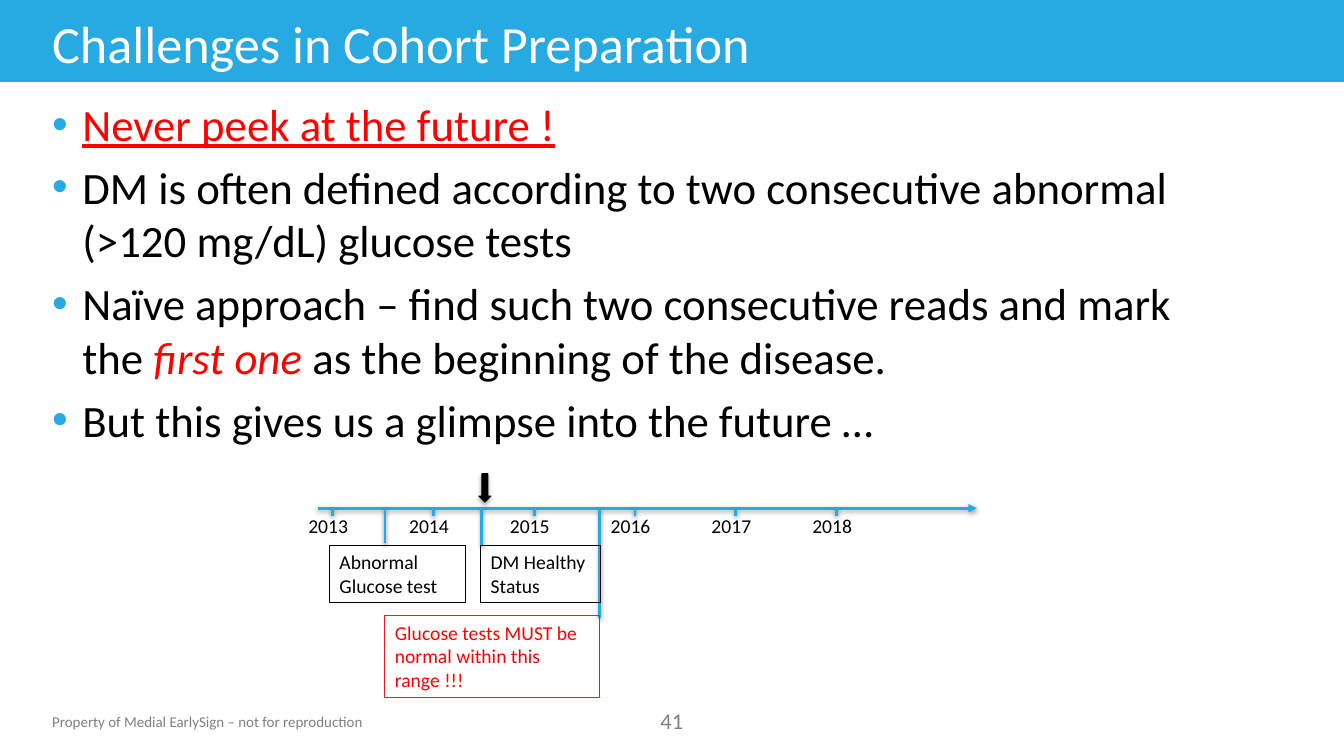
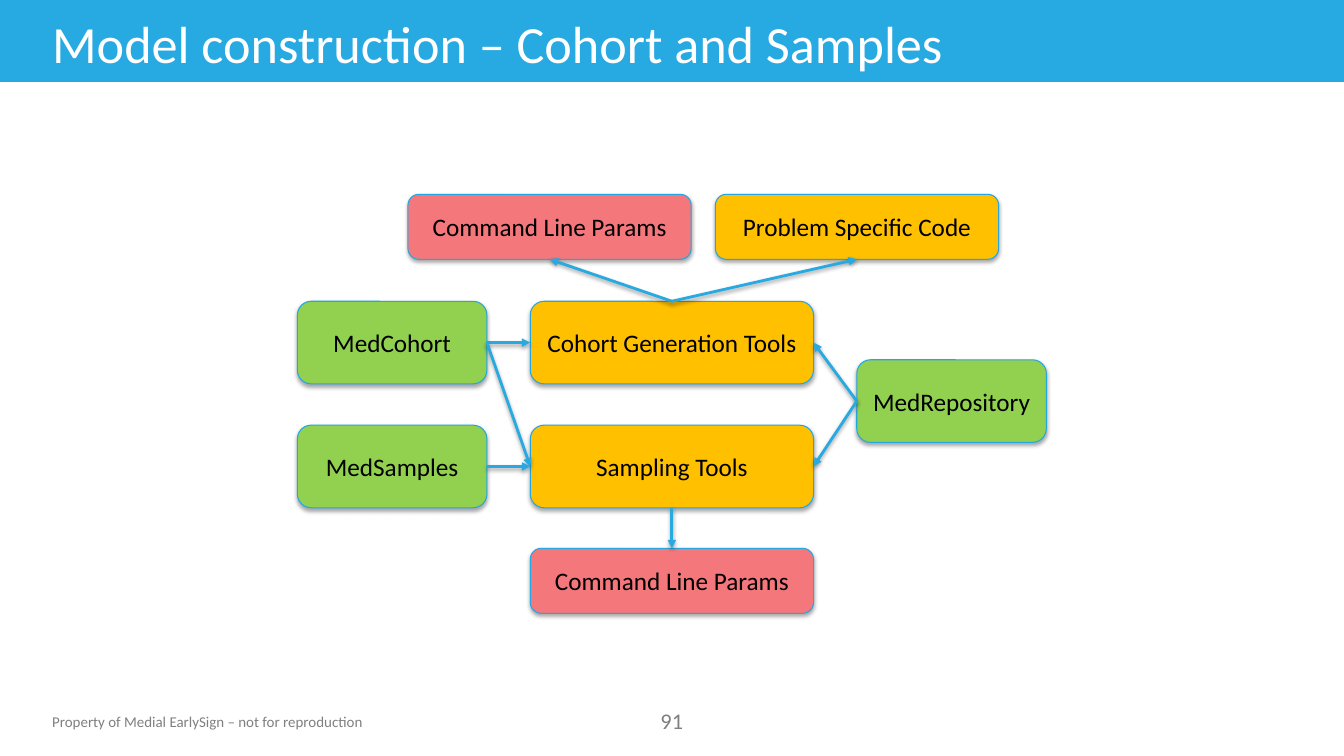
"""Build two slides on cohort preparation and model construction."""
from dataclasses import dataclass

from lxml.etree import SubElement
from pptx import Presentation
from pptx.dml.color import RGBColor as Rgb
from pptx.enum.shapes import MSO_CONNECTOR as Connector, MSO_SHAPE as Shape
from pptx.enum.text import MSO_ANCHOR as Anchor, PP_ALIGN as Align
from pptx.oxml.ns import qn
from pptx.util import Pt

TOP, LEFT, BOTTOM, RIGHT = range(4)


@dataclass(frozen=True)
class Theme:
    font: str = "Calibri"
    blue: str = "27A9E1"
    edge: str = "22A7E1"
    white: str = "FFFFFF"
    black: str = "000000"
    gray: str = "808080"
    red: str = "FF0000"
    crimson: str = "ED1C24"
    green: str = "92D050"
    amber: str = "FFC000"
    coral: str = "F4777C"
    title: float = 37.3
    body: float = 32
    node: float = 18
    page: float = 16
    label: float = 14
    footer: float = 10.7
    thin: float = 0.75
    thick: float = 2


def apply(target, formats):
    for name, value in formats.items():
        setattr(target, name, value)


def add_shadow(effects, distance, opacity):
    shadow = SubElement(effects, qn("a:outerShdw"), blurRad=str(Pt(3.1)),
                        dist=str(Pt(distance)), dir="5400000", rotWithShape="0")
    black = SubElement(shadow, qn("a:srgbClr"), val=Theme.black)
    SubElement(black, qn("a:alpha"), val=str(opacity * 1000))


class Deck:
    def __init__(self, theme):
        self.theme = theme
        self.show = Presentation()
        apply(self.show, {"slide_width": Pt(960), "slide_height": Pt(540)})
        self.slide = None

    def new_slide(self, title, page):
        theme = self.theme
        self.slide = self.show.slides.add_slide(self.show.slide_layouts[6])
        self.shape(Shape.RECTANGLE, (0, 0, 960, 58.5), theme.blue)
        self.text((30.2, 505.4, 240, 20),
                  "Property of Medial EarlySign – not for reproduction",
                  theme.footer, theme.gray, wrap=False)
        self.text((450.7, 501.8, 58.3, 26.6), page, theme.page, theme.gray,
                  align=Align.CENTER)
        self.text((30.2, 4.3, 800, 52.6), title, theme.title, theme.white,
                  anchor=Anchor.MIDDLE)

    def add_words(self, paragraph, text, size, color, **style):
        run = paragraph.add_run()
        run.text = text
        apply(run.font, {"name": self.theme.font, "size": Pt(size), **style})
        run.font.color.rgb = Rgb.from_string(color)

    def fill_frame(self, frame, text, size, color, align=Align.LEFT,
                   anchor=Anchor.TOP, wrap=True):
        apply(frame, {"word_wrap": wrap, "vertical_anchor": anchor})
        paragraph = frame.paragraphs[0]
        paragraph.alignment = align
        self.add_words(paragraph, text, size, color)

    def text(self, box, text, size, color, **layout):
        holder = self.slide.shapes.add_textbox(*map(Pt, box))
        self.fill_frame(holder.text_frame, text, size, color, **layout)

    def bullets(self, box, items):
        theme = self.theme
        frame = self.slide.shapes.add_textbox(*map(Pt, box)).text_frame
        frame.word_wrap = True
        for index, runs in enumerate(items):
            paragraph = frame.add_paragraph() if index else frame.paragraphs[0]
            paragraph.space_before = Pt(6.4 if index else 0)
            props = paragraph._p.get_or_add_pPr()
            props.set("marL", str(Pt(21.6)))
            props.set("indent", str(Pt(-21.6)))
            tint = SubElement(props, qn("a:buClr"))
            SubElement(tint, qn("a:srgbClr"), val=theme.blue)
            SubElement(props, qn("a:buFont"), typeface="Arial")
            SubElement(props, qn("a:buChar"), char="•")
            for text, color, style in runs:
                self.add_words(paragraph, text, theme.body, color, **style)

    def shape(self, kind, box, fill=None, edge=None, shadow=False):
        shape = self.slide.shapes.add_shape(kind, *map(Pt, box))
        shape.shadow.inherit = False
        if fill:
            shape.fill.solid()
            shape.fill.fore_color.rgb = Rgb.from_string(fill)
        else:
            shape.fill.background()
        if edge:
            shape.line.color.rgb = Rgb.from_string(edge)
            shape.line.width = Pt(self.theme.thin)
        else:
            shape.line.fill.background()
        if shadow:
            add_shadow(shape._element.spPr.find(qn("a:effectLst")), 1.8, 35)
        return shape

    def callout(self, box, text, color, edge):
        frame = self.shape(Shape.RECTANGLE, box, edge=edge).text_frame
        self.fill_frame(frame, text, self.theme.label, color)

    def node(self, box, text, fill):
        node = self.shape(Shape.ROUNDED_RECTANGLE, box, fill, self.theme.edge, True)
        self.fill_frame(node.text_frame, text, self.theme.node, self.theme.black,
                        align=Align.CENTER, anchor=Anchor.MIDDLE)
        return node

    def line(self, start, end, arrow=False):
        line = self.slide.shapes.add_connector(
            Connector.STRAIGHT, *map(Pt, (*start, *end)))
        line.line.color.rgb = Rgb.from_string(self.theme.blue)
        line.line.width = Pt(self.theme.thick)
        props = line._element.spPr
        if arrow:
            SubElement(props.find(qn("a:ln")), qn("a:tailEnd"), type="triangle")
        add_shadow(SubElement(props, qn("a:effectLst")), 1.6, 38)
        return line

    def link(self, source, source_side, target, target_side):
        link = self.line((0, 0), (0, 0), arrow=True)
        link.begin_connect(source, source_side)
        link.end_connect(target, target_side)


def build_challenges(deck):
    theme = deck.theme
    deck.new_slide("Challenges in Cohort Preparation", "41")
    deck.bullets((30.2, 65.5, 850, 260), [
        [("Never peek at the future !", theme.red, {"underline": True})],
        [("DM is often defined according to two consecutive abnormal "
          "(>120 mg/dL) glucose tests", theme.black, {})],
        [("Naïve approach – find such two consecutive reads and mark the ",
          theme.black, {}),
         ("first one ", theme.red, {"italic": True}),
         ("as the beginning of the disease.", theme.black, {})],
        [("But this gives us a glimpse into the future …", theme.black, {})],
    ])

    axis = 363
    deck.line((226.8, axis), (697.7, axis), arrow=True)
    for index, year in enumerate(range(2013, 2019)):
        tick = 237.6 + 72 * index
        deck.line((tick, axis), (tick, axis + 5.6))
        deck.text((tick - 24.5, axis + 0.6, 49.7, 24.5), str(year),
                  theme.label, theme.black)

    first_test, status, last_test = 275, 344.2, 428.4
    for moment, depth in ((first_test, 388), (status, 389.5), (last_test, 441.4)):
        deck.line((moment, axis), (moment, depth))
    deck.callout((235.4, 389.5, 97.2, 41), "Abnormal Glucose test",
                 theme.black, theme.black)
    deck.callout((343.4, 389.5, 85.7, 41), "DM Healthy Status",
                 theme.black, theme.black)
    deck.callout((first_test, 439.9, last_test - first_test, 58.3),
                 "Glucose tests MUST be normal within this range !!!",
                 theme.red, theme.crimson)
    deck.shape(Shape.DOWN_ARROW, (342, 338.4, 8.6, 20.2), theme.black,
               theme.black, True)


def build_model(deck):
    theme = deck.theme
    deck.new_slide("Model construction – Cohort and Samples", "91")
    data, tool, params = (135.4, 59), (202.3, 59), (202.3, 46.4)
    inputs, center = 212.4, 378.8
    cohort_row, samples_row = 215.2, 303.7

    repository = deck.node((612, 257, *data), "MedRepository", theme.green)
    cohort = deck.node((inputs, cohort_row, *data), "MedCohort", theme.green)
    samples = deck.node((inputs, samples_row, *data), "MedSamples", theme.green)
    generation = deck.node((center, cohort_row, *tool), "Cohort Generation Tools",
                           theme.amber)
    sampling = deck.node((center, samples_row, *tool), "Sampling Tools", theme.amber)
    cohort_params = deck.node((291.4, 138.8, *params), "Command Line Params",
                              theme.coral)
    problem_code = deck.node((511, 138.8, *params), "Problem Specific Code",
                             theme.amber)
    sampling_params = deck.node((center, 391.7, *params), "Command Line Params",
                                theme.coral)

    for ends in (
        (cohort, RIGHT, generation, LEFT),
        (repository, LEFT, generation, RIGHT),
        (cohort, RIGHT, sampling, LEFT),
        (samples, RIGHT, sampling, LEFT),
        (repository, LEFT, sampling, RIGHT),
        (generation, TOP, cohort_params, BOTTOM),
        (generation, TOP, problem_code, BOTTOM),
        (sampling, BOTTOM, sampling_params, TOP),
    ):
        deck.link(*ends)


def main():
    deck = Deck(Theme())
    build_challenges(deck)
    build_model(deck)
    deck.show.save("out.pptx")


if __name__ == "__main__":
    main()
